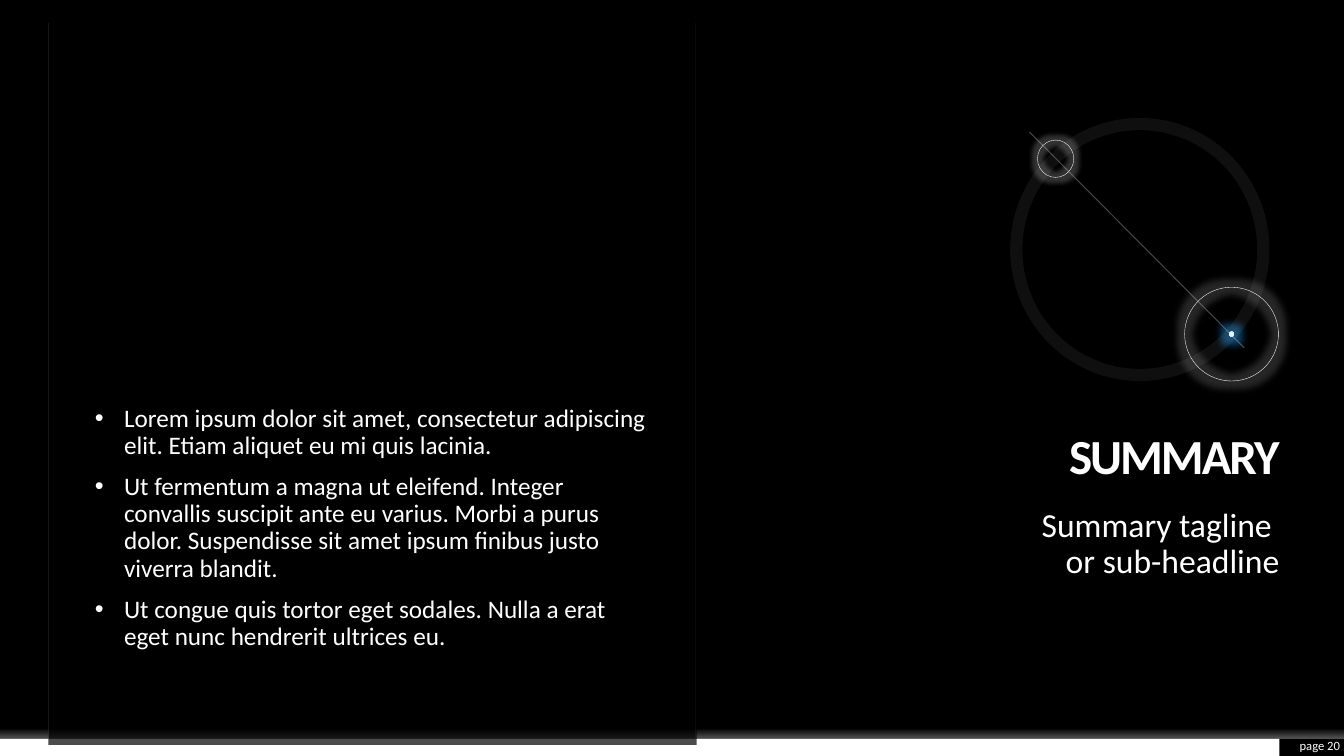
"""Builds the dark summary slide with its orbit emblem and bullet panel."""
from pptx import Presentation
from pptx.dml.color import RGBColor
from pptx.enum.shapes import MSO_CONNECTOR, MSO_SHAPE
from pptx.enum.text import MSO_ANCHOR, PP_ALIGN
from pptx.oxml import parse_xml
from pptx.oxml.ns import nsdecls, qn
from pptx.util import Inches, Pt
from lxml import etree

RECTANGLE, ELLIPSE = MSO_SHAPE.RECTANGLE, MSO_SHAPE.OVAL
STRAIGHT = MSO_CONNECTOR.STRAIGHT
LEFT, RIGHT = PP_ALIGN.LEFT, PP_ALIGN.RIGHT
TOP, MIDDLE, BOTTOM = MSO_ANCHOR.TOP, MSO_ANCHOR.MIDDLE, MSO_ANCHOR.BOTTOM
COLORS = {"black": "000000", "white": "FFFFFF", "rule": "F2F2F2",
          "axis": "E7E6E6", "pale_blue": "C1E4FF", "blue": "1C8CDC"}
FONT = "Calibri"
DOWNWARD = '<a:lin ang="5400000" scaled="0"/>'
RADIAL = '<a:path path="circle"><a:fillToRect l="50000" t="50000" r="50000" b="50000"/></a:path>'
BULLETS = [
    "Lorem ipsum dolor sit amet, consectetur adipiscing elit. Etiam aliquet eu mi quis lacinia.",
    "Ut fermentum a magna ut eleifend. Integer convallis suscipit ante eu varius. "
    "Morbi a purus dolor. Suspendisse sit amet ipsum finibus justo viverra blandit.",
    "Ut congue quis tortor eget sodales. Nulla a erat eget nunc hendrerit ultrices eu.",
]


class SlideBuilder:
    def __init__(self, slide):
        self.slide = slide

    def color(self, name):
        return RGBColor.from_string(COLORS[name])

    def set_alpha(self, properties, percent):
        for color in properties.iter(qn("a:srgbClr")):
            etree.SubElement(color, qn("a:alpha")).set("val", str(percent * 1000))

    def background(self, name):
        fill = self.slide.background.fill
        fill.solid()
        fill.fore_color.rgb = self.color(name)

    def style_line(self, line, name, width, alpha):
        line.color.rgb = self.color(name)
        line.width = Pt(width)
        self.set_alpha(line._get_or_add_ln(), alpha)

    def shape(self, kind, box, fill=None, alpha=100):
        shape = self.slide.shapes.add_shape(kind, *map(Inches, box))
        shape.shadow.inherit = False
        shape.line.fill.background()
        if fill:
            shape.fill.solid()
            shape.fill.fore_color.rgb = self.color(fill)
            self.set_alpha(shape._element.spPr, alpha)
        else:
            shape.fill.background()
        return shape

    def gradient(self, kind, box, stops, direction):
        properties = self.shape(kind, box, "white")._element.spPr
        stop_list = "".join(
            f'<a:gs pos="{position * 1000}"><a:srgbClr val="{COLORS[name]}">'
            f'<a:alpha val="{alpha * 1000}"/></a:srgbClr></a:gs>'
            for position, name, alpha in stops)
        properties.replace(properties.find(qn("a:solidFill")), parse_xml(
            f'<a:gradFill {nsdecls("a")} rotWithShape="1">'
            f'<a:gsLst>{stop_list}</a:gsLst>{direction}</a:gradFill>'))
        return properties

    def ring(self, box, width, alpha=100):
        shape = self.shape(ELLIPSE, box)
        self.style_line(shape.line, "white", width, alpha)
        return shape._element.spPr

    def glow(self, properties, name, radius, alpha):
        effects = properties.find(qn("a:effectLst"))
        glow = etree.SubElement(effects, qn("a:glow"), rad=str(Pt(radius)))
        etree.SubElement(glow, qn("a:srgbClr"), val=COLORS[name])
        self.set_alpha(glow, alpha)

    def line(self, start, end, name, width, alpha):
        connector = self.slide.shapes.add_connector(STRAIGHT, *map(Inches, start + end))
        self.style_line(connector.line, name, width, alpha)
        etree.SubElement(connector._element.spPr, qn("a:effectLst"))

    def text(self, box, paragraphs, size, align=LEFT, anchor=TOP, bold=False,
             line_spacing=0.9, before=0, bullet=False, tracking=0):
        frame = self.slide.shapes.add_textbox(*map(Inches, box)).text_frame
        frame.word_wrap = True
        frame.vertical_anchor = anchor
        frame.margin_left = frame.margin_right = frame.margin_top = frame.margin_bottom = 0
        for index, content in enumerate(paragraphs):
            paragraph = frame.add_paragraph() if index else frame.paragraphs[0]
            paragraph.text = content
            paragraph.alignment = align
            paragraph.line_spacing = line_spacing
            paragraph.space_before = Pt(before)
            properties = paragraph._p.get_or_add_pPr()
            if bullet:
                properties.set("marL", str(Inches(0.29)))
                properties.set("indent", str(Inches(-0.29)))
                bullet_color = etree.SubElement(properties, qn("a:buClr"))
                etree.SubElement(bullet_color, qn("a:srgbClr"), val=COLORS["white"])
                etree.SubElement(properties, qn("a:buFont"), typeface="Arial")
                etree.SubElement(properties, qn("a:buChar"), char="•")
            font = paragraph.font
            font.name, font.size, font.bold = FONT, Pt(size), bold
            font.color.rgb = self.color("white")
            if tracking:
                properties.find(qn("a:defRPr")).set("spc", str(int(tracking * 100)))


def main():
    presentation = Presentation()
    presentation.slide_width, presentation.slide_height = Inches(13.33), Inches(7.5)
    builder = SlideBuilder(presentation.slides.add_slide(presentation.slide_layouts[6]))

    builder.background("black")
    builder.shape(RECTANGLE, (0, 7.33, 12.69, 0.17), "white")
    builder.gradient(RECTANGLE, (0, 7.16, 13.33, 0.17),
                     [(40, "white", 0), (100, "white", 35)], DOWNWARD)
    builder.shape(RECTANGLE, (0.48, 4.26, 6.43, 3.13), "black", 70)
    for x in (6.9, 0.48):
        builder.line((x, 0.23), (x, 7.33), "rule", 0.25, 15)

    large_ring = builder.ring((11.75, 2.85, 0.93, 0.93), 0.25)
    small_ring = builder.ring((10.29, 1.39, 0.36, 0.37), 0.25)
    dot = builder.gradient(ELLIPSE, (12.19, 3.29, 0.05, 0.05),
                           [(0, "white", 100), (100, "pale_blue", 100)], RADIAL)
    builder.glow(large_ring, "white", 10, 15)
    builder.glow(small_ring, "white", 7, 20)
    builder.glow(dot, "blue", 11, 50)
    builder.ring((10.08, 1.23, 2.45, 2.49), 8.75, 6)
    builder.line((10.21, 1.31), (12.34, 3.45), "axis", 0.75, 30)

    builder.text((7.13, 4.02, 5.56, 0.79), ["SUMMARY"], 35, RIGHT, BOTTOM,
                 bold=True, tracking=-1.5)
    builder.text((7.13, 5.04, 5.56, 1.97), ["Summary tagline \vor sub-headline"],
                 24, RIGHT, before=10)
    builder.text((0.94, 4.02, 5.49, 2.98), BULLETS, 18, before=10, bullet=True)
    builder.text((12.69, 7.31, 0.6, 0.17), ["page 20"], 9, RIGHT, MIDDLE, line_spacing=1)
    presentation.save("out.pptx")


if __name__ == "__main__":
    main()
